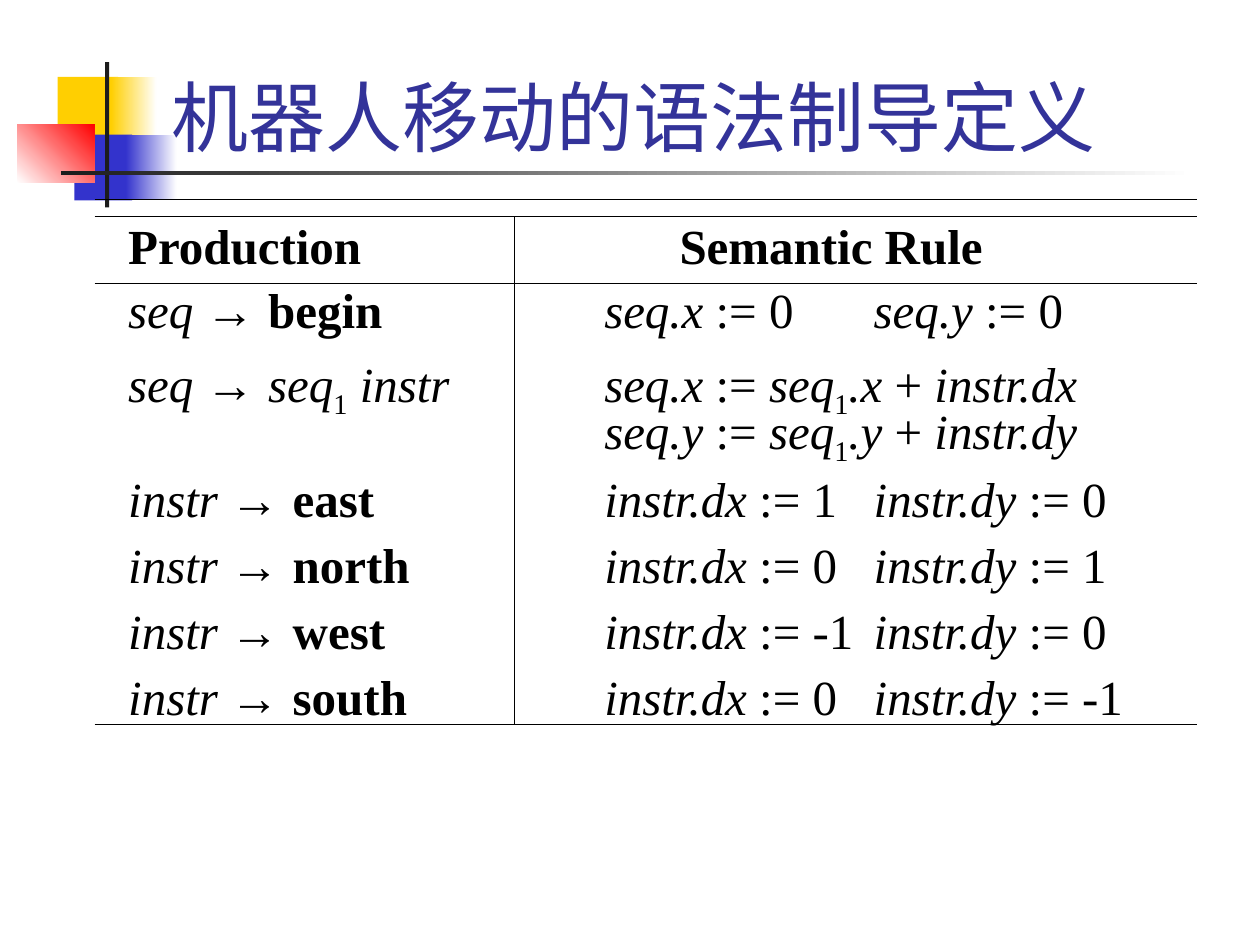
from pptx import Presentation, util as u
from pptx.dml.color import RGBColor
from pptx.enum import shapes, text
from pptx.oxml import ns
from lxml import etree

Pt = u.Pt


def color(value):
    return RGBColor.from_string(value)


class Canvas:
    """Draws styled elements on the current slide."""

    font, symbol_font = "Times New Roman", "Arial"
    ink, title_ink = "000000", "333399"

    def __init__(self, slide):
        self.slide = slide

    def block(self, left, top, width, height, *colors, angle=0):
        shape = self.slide.shapes.add_shape(
            shapes.MSO_SHAPE.RECTANGLE, Pt(left), Pt(top), Pt(width), Pt(height))
        shape.shadow.inherit = False
        shape.line.fill.background()
        if len(colors) == 1:
            shape.fill.solid()
            shape.fill.fore_color.rgb = color(colors[0])
            return
        shape.fill.gradient()
        shape.fill.gradient_angle = angle
        for stop, value in zip(shape.fill.gradient_stops, colors):
            stop.color.rgb = color(value)

    def line(self, x1, y1, x2, y2):
        connector = self.slide.shapes.add_connector(
            shapes.MSO_CONNECTOR.STRAIGHT, Pt(x1), Pt(y1), Pt(x2), Pt(y2))
        connector.line.width = Pt(0.74)
        connector.line.color.rgb = color(self.ink)
        properties = connector._element.spPr
        etree.SubElement(properties, ns.qn("a:effectLst"))

    def text_box(self, left, top, width, height, anchor):
        shape = self.slide.shapes.add_textbox(Pt(left), Pt(top), Pt(width), Pt(height))
        frame = shape.text_frame
        frame.word_wrap = True
        frame.vertical_anchor = anchor
        return frame

    def run(self, paragraph, words, style, size, ink):
        run = paragraph.add_run()
        run.text = words
        font = run.font
        font.name = self.symbol_font if style == "symbol" else self.font
        font.size = Pt(size)
        font.bold = style == "bold"
        font.italic = style == "italic"
        font.color.rgb = color(ink)
        if style == "sub":
            run._r.get_or_add_rPr().set("baseline", "-25000")

    def title(self, words, *place):
        frame = self.text_box(*place, text.MSO_ANCHOR.BOTTOM)
        self.run(frame.paragraphs[0], words, "plain", 44, self.title_ink)

    def rules(self, rows, *place):
        frame = self.text_box(*place, text.MSO_ANCHOR.TOP)
        for index, (spacing, stops, runs) in enumerate(rows):
            paragraph = frame.add_paragraph() if index else frame.paragraphs[0]
            paragraph.line_spacing = spacing
            paragraph.space_before = Pt(17.5)
            tabs = etree.SubElement(paragraph._p.get_or_add_pPr(), ns.qn("a:tabLst"))
            for stop in stops:
                etree.SubElement(tabs, ns.qn("a:tab"), pos=str(Pt(stop)), algn="l")
            for words, style in runs:
                if style == "break":
                    paragraph.add_line_break()
                else:
                    self.run(paragraph, words, style, 28, self.ink)


def production(symbol):
    return [(symbol + " ", "italic"), ("→ ", "symbol")]


def assign(target, value):
    return [("\t" + target + " ", "italic"), (":= " + value, "plain")]


def add_step(axis):
    return [("\tseq." + axis + " ", "italic"), (":=", "plain"), (" seq", "italic"),
            ("1", "sub"), ("." + axis, "italic"), (" + ", "plain"),
            ("instr.d" + axis, "italic")]


presentation = Presentation()
presentation.slide_width, presentation.slide_height = Pt(720), Pt(540)
canvas = Canvas(presentation.slides.add_slide(presentation.slide_layouts[6]))

YELLOW, BLUE, RED, DARK, WHITE = "FFCF01", "3333CC", "FF0000", "1C1C1C", "FFFFFF"
canvas.block(33, 44, 34.5, 37.5, YELLOW)
canvas.block(63.5, 44, 26, 37.5, YELLOW, WHITE)
canvas.block(42.5, 77, 33, 37.5, BLUE)
canvas.block(72, 77, 29, 37.5, BLUE, WHITE)
canvas.block(10, 71, 44, 33.5, WHITE, RED, angle=45)
canvas.block(60, 35.5, 2.4, 83, DARK)
canvas.block(34.6, 97.9, 648, 2.2, DARK, WHITE)

canvas.title("机器人移动的语法制导定义", 90.7, 6, 613.4, 90)

COLUMNS = (272, 426)
rows = [
    (1, (315,), [("Production", "bold"), ("\tSemantic Rule", "bold")]),
    (0.5, COLUMNS, production("seq") + [("begin", "bold")]
     + assign("seq.x", "0") + assign("seq.y", "0")),
    (0.7, COLUMNS, production("seq") + [("seq", "italic"), ("1", "sub"), (" instr", "italic")]
     + add_step("x") + [("", "break")] + add_step("y")),
]
for direction, dx, dy in (("east", "1", "0"), ("north", "0", "1"),
                          ("west", "-1", "0"), ("south", "0", "-1")):
    rows.append((0.6, COLUMNS, production("instr") + [(direction, "bold")]
                 + assign("instr.dx", dx) + assign("instr.dy", dy)))
canvas.rules(rows, 66.2, 119.5, 617.8, 297.4)

LEFT, RIGHT, TOP, BOTTOM = 54, 684, 123.6, 414
for y in (114.1, TOP, 162, BOTTOM):
    canvas.line(LEFT, y, RIGHT, y)
canvas.line(294, TOP, 294, BOTTOM)

presentation.save("out.pptx")
